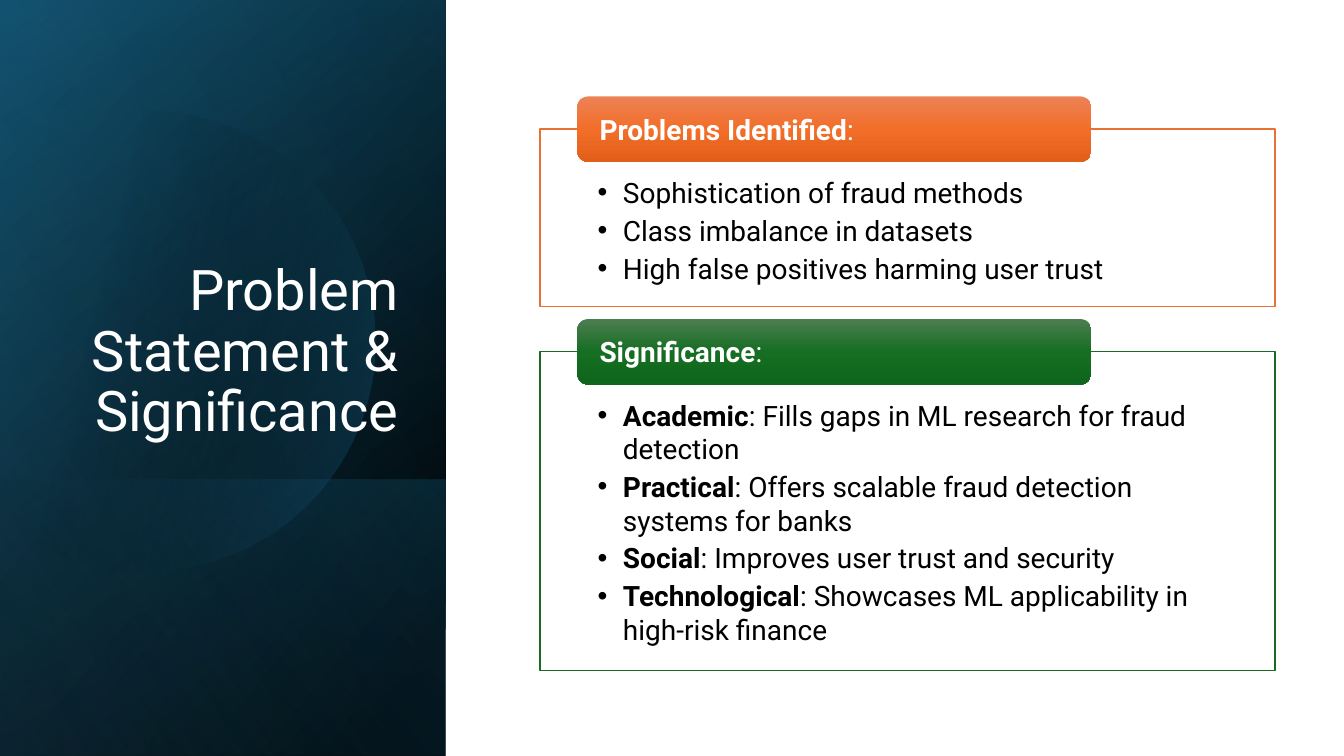
"""Build the Problem Statement & Significance slide."""
from lxml.etree import SubElement
from pptx import Presentation
from pptx.dml.color import RGBColor
from pptx.enum.shapes import MSO_SHAPE
from pptx.enum.text import MSO_ANCHOR, PP_ALIGN
from pptx.oxml.ns import qn
from pptx.util import Cm, Pt

COLORS = {
    "white": "FFFFFF", "black": "000000", "navy": "104862", "teal": "156082",
    "sky": "46B1E1", "orange": "E97132", "green": "196A25",
    "orange_top": "ED8257", "orange_mid": "F26E29", "orange_low": "E25F1A",
    "green_top": "4D7D51", "green_mid": "156E22", "green_low": "0F651C",
}


def rgb(name):
    return RGBColor.from_string(COLORS[name])


def write(frame, text, size=20, color="black", font="Roboto", align=PP_ALIGN.LEFT,
          anchor=MSO_ANCHOR.TOP, insets=(0.25, 0.13, 0.25, 0.13),
          line_spacing=1.0, space_after=0, bullet=None):
    frame.word_wrap = True
    frame.vertical_anchor = anchor
    (frame.margin_left, frame.margin_top,
     frame.margin_right, frame.margin_bottom) = map(Cm, insets)
    for index, line in enumerate(text.split("\n")):
        paragraph = frame.add_paragraph() if index else frame.paragraphs[0]
        paragraph.alignment = align
        paragraph.line_spacing = line_spacing
        paragraph.space_after = Pt(space_after)
        if bullet:
            properties = paragraph._p.get_or_add_pPr()
            properties.set("marL", str(Cm(0.64)))
            properties.set("indent", str(-Cm(0.64)))
            SubElement(properties, qn("a:buFont")).set("typeface", "Arial")
            SubElement(properties, qn("a:buChar")).set("char", bullet)
        lead, colon, rest = line.partition(":")
        for part, bold in ((lead, bool(colon)), (colon + rest, False)):
            if part:
                run = paragraph.add_run()
                run.text = part
                run.font.name = font
                run.font.size = Pt(size)
                run.font.bold = bold
                run.font.color.rgb = rgb(color)


def bezier(start, first, second, end, steps=24):
    for step in range(1, steps + 1):
        t = step / steps
        u = 1 - t
        yield tuple(u**3 * a + 3 * u * u * t * b + 3 * u * t * t * c + t**3 * d
                    for a, b, c, d in zip(start, first, second, end))


class SlideBuilder:
    """Hold the palette-driven style and the current slide."""

    def __init__(self, slide):
        self.shapes = slide.shapes

    def shape(self, preset, left, top, width, height):
        item = self.shapes.add_shape(preset, Cm(left), Cm(top), Cm(width), Cm(height))
        item.shadow.inherit = False
        item.line.fill.background()
        return item

    def gradient(self, item, angle, stops):
        item.fill.gradient()
        item.fill.gradient_angle = (360 - angle) % 360
        stop_list = item._element.spPr.find(qn("a:gradFill")).find(qn("a:gsLst"))
        for old in list(stop_list):
            stop_list.remove(old)
        for position, color, opacity in stops:
            stop = SubElement(stop_list, qn("a:gs"))
            stop.set("pos", str(position * 1000))
            self.tint(SubElement(stop, qn("a:srgbClr")), color, opacity)

    def tint(self, element, color, opacity):
        element.set("val", COLORS[color])
        if opacity < 100:
            SubElement(element, qn("a:alpha")).set("val", str(opacity * 1000))

    def panel(self, top, height, angle, *stops, width=11.23):
        item = self.shape(MSO_SHAPE.RECTANGLE, (width - height) / 2,
                          top + (height - width) / 2, height, width)
        item.rotation = 90
        item._element.spPr.xfrm.set("flipH", "1")
        self.gradient(item, angle, stops)

    def disc(self, start, curves, corners, angle, *stops):
        points = [start]
        for curve in curves:
            points.extend(bezier(points[-1], *curve))
        points += corners
        builder = self.shapes.build_freeform(
            round(start[0] * 1000), round(start[1] * 1000), scale=Cm(1) / 1000)
        builder.add_line_segments(
            [(round(max(x, 0) * 1000), round(y * 1000)) for x, y in points[1:]])
        item = builder.convert_to_shape()
        item.shadow.inherit = False
        item.line.fill.background()
        self.gradient(item, angle, stops)

    def title(self, text, left, top, width, height):
        box = self.shapes.add_textbox(Cm(left), Cm(top), Cm(width), Cm(height))
        write(box.text_frame, text, size=40, color="white", align=PP_ALIGN.RIGHT,
              anchor=MSO_ANCHOR.BOTTOM, line_spacing=0.9)

    def section(self, heading, points, top, height, color):
        body = self.shape(MSO_SHAPE.RECTANGLE, 13.61, top, 18.52, height)
        body.fill.solid()
        body.fill.fore_color.rgb = rgb("white")
        fill_color = body._element.spPr.find(qn("a:solidFill"))[0]
        self.tint(fill_color, "white", 90)
        body.line.color.rgb = rgb(color)
        body.line.width = Pt(1)
        write(body.text_frame, "\n".join(points), insets=(1.45, 1.17, 1.45, 0.41),
              space_after=3, bullet="•")
        tab = self.shape(MSO_SHAPE.ROUNDED_RECTANGLE, 14.55, top - 0.82, 12.95, 1.65)
        self.gradient(tab, 90, [(0, color + "_top", 100), (50, color + "_mid", 100),
                                (100, color + "_low", 100)])
        write(tab.text_frame, heading, color="white", anchor=MSO_ANCHOR.MIDDLE,
              insets=(0.48, 0, 0.48, 0))


def main():
    deck = Presentation()
    deck.slide_width, deck.slide_height = Cm(33.87), Cm(19.05)
    page = SlideBuilder(deck.slides.add_slide(deck.slide_layouts[6]))

    page.panel(0, 19.05, 50, (8, "black", 100), (100, "navy", 100))
    page.panel(0, 19.05, 30, (0, "black", 0), (99, "teal", 46))
    page.panel(12.09, 6.96, 130, (2, "teal", 29), (100, "black", 30))
    page.disc(
        (3.78, 2.79),
        [((6.25, 2.84), (8.51, 4.5), (9.22, 6.99)),
         ((10.11, 10.08), (8.33, 13.28), (5.26, 14.17)),
         ((3.33, 14.73), (1.35, 14.25), (0, 13.06))],
        [(0, 4.09), (0.58, 3.61), (1.27, 3.25), (2.03, 3.02), (2.9, 2.85)],
        14, (29, "black", 0), (100, "teal", 43))
    page.panel(0, 19.05, 120, (0, "black", 0), (99, "sky", 11))

    page.title("Problem Statement & Significance", 1.63, 4.67, 8.66, 6.65)
    page.section("Problems Identified:", [
        "Sophistication of fraud methods",
        "Class imbalance in datasets",
        "High false positives harming user trust",
    ], 3.25, 4.47, "orange")
    page.section("Significance:", [
        "Academic: Fills gaps in ML research for fraud detection",
        "Practical: Offers scalable fraud detection systems for banks",
        "Social: Improves user trust and security",
        "Technological: Showcases ML applicability in high-risk finance",
    ], 8.86, 8.03, "green")
    deck.save("out.pptx")


if __name__ == "__main__":
    main()
